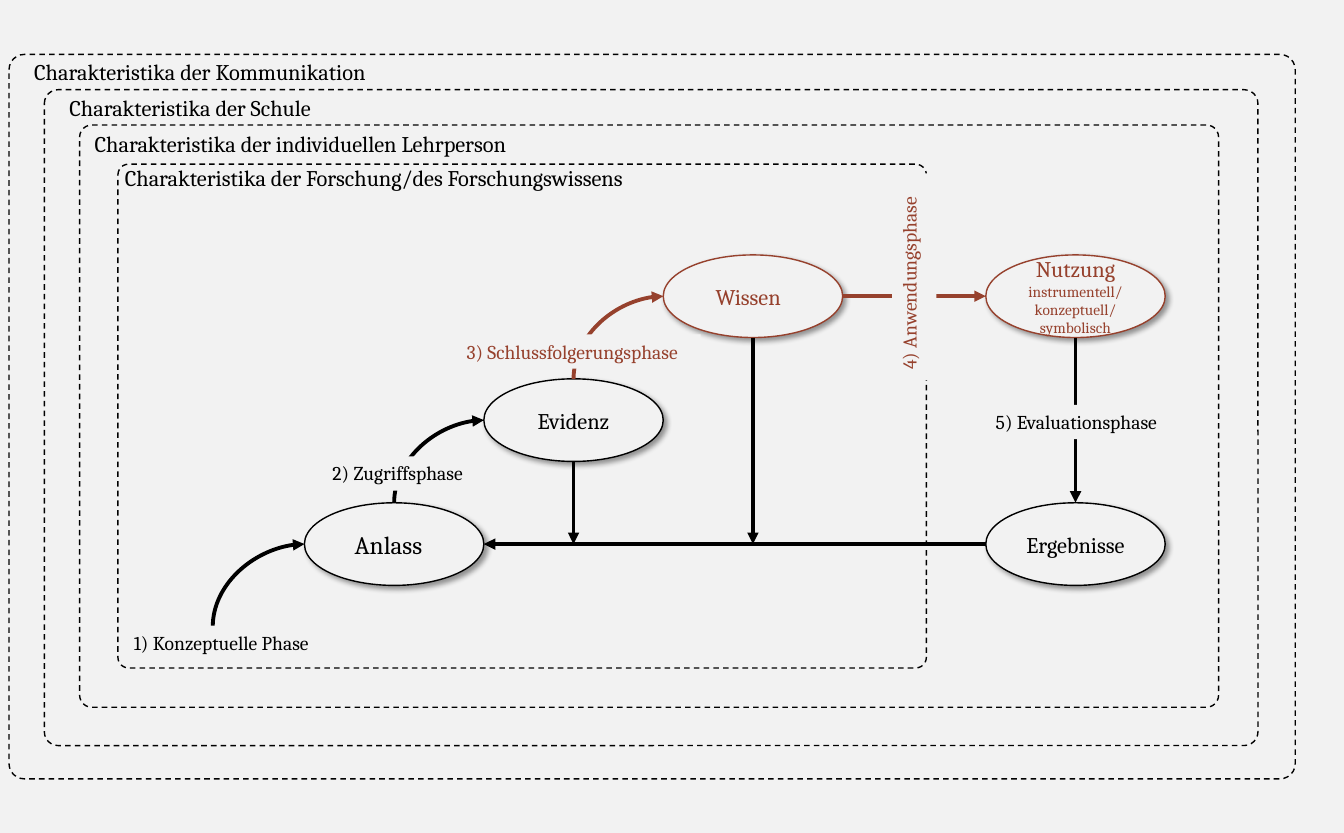
from dataclasses import dataclass

from lxml import etree
from pptx import Presentation
from pptx import util as u
from pptx.dml.color import RGBColor
from pptx.enum import dml, shapes, text
from pptx.oxml.ns import qn

PX = 9144
SLIDE_WIDTH, SLIDE_HEIGHT = u.Pt(960), u.Cm(21)
ELLIPSE_WIDTH, ELLIPSE_HEIGHT = 178, 82
SITES = {"top": (0, 0.5, 0), "left": (2, 0, 0.5), "bottom": (4, 0.5, 1), "right": (6, 1, 0.5)}


@dataclass(frozen=True)
class Theme:
    """Colours, font and type sizes of the slide."""

    background: RGBColor = RGBColor(0xF2, 0xF2, 0xF2)
    ink: RGBColor = RGBColor(0, 0, 0)
    accent: RGBColor = RGBColor(0x96, 0x41, 0x2D)
    font: str = "Cambria"
    large: int = 18
    normal: int = 16
    phase: int = 14
    detail: int = 11
    outline: float = 1
    arrow: float = 2.75


THEME = Theme()


def px(*lengths):
    """Turn px lengths into EMU."""
    return [u.Emu(length * PX) for length in lengths]


def format_paragraph(paragraph, size, color, alignment=text.PP_ALIGN.LEFT):
    """Apply font, size, colour and alignment to a paragraph."""
    paragraph.alignment = alignment
    for run in paragraph.runs:
        run.font.name = THEME.font
        run.font.size = u.Pt(size)
        run.font.color.rgb = color


def add_frame(slide, box):
    """Add a dashed rounded frame."""
    frame = slide.shapes.add_shape(shapes.MSO_SHAPE.ROUNDED_RECTANGLE, *px(*box))
    frame.adjustments[0] = 0.021
    frame.shadow.inherit = False
    frame.fill.background()
    frame.line.color.rgb = THEME.ink
    frame.line.width = u.Pt(THEME.outline)
    frame.line.dash_style = dml.MSO_LINE.DASH


def add_text(slide, box, wording, size, color=THEME.ink, wrap=True):
    """Add a text box that grows with its text."""
    shape = slide.shapes.add_textbox(*px(*box))
    frame = shape.text_frame
    frame.text = wording
    frame.word_wrap = wrap
    frame.auto_size = text.MSO_AUTO_SIZE.SHAPE_TO_FIT_TEXT
    for paragraph in frame.paragraphs:
        format_paragraph(paragraph, size, color)
    return shape


def add_phase(slide, box, wording, color=THEME.ink, upright=False):
    """Add a phase label that interrupts the line behind it."""
    label = add_text(slide, box, wording, THEME.phase, color)
    label.fill.solid()
    label.fill.fore_color.rgb = THEME.background
    if upright:
        label.text_frame._txBody.bodyPr.set("vert", "vert270")


def add_shadow(shape):
    """Give a shape a soft shadow towards the lower right."""
    shape.shadow.inherit = False
    effects = shape._element.spPr.find(qn("a:effectLst"))
    shadow = etree.SubElement(effects, qn("a:outerShdw"), blurRad=str(u.Pt(4)), dist=str(u.Pt(3)),
                              dir="2700000", algn="tl", rotWithShape="0")
    color = etree.SubElement(shadow, qn("a:srgbClr"), val=str(THEME.ink))
    etree.SubElement(color, qn("a:alpha"), val="40000")


def add_station(slide, left, top, color=THEME.ink, wording=""):
    """Add an ellipse for one station of the process."""
    box = px(left, top, ELLIPSE_WIDTH, ELLIPSE_HEIGHT)
    station = slide.shapes.add_shape(shapes.MSO_SHAPE.OVAL, *box)
    station.fill.solid()
    station.fill.fore_color.rgb = THEME.background
    station.line.color.rgb = color
    station.line.width = u.Pt(THEME.outline)
    add_shadow(station)
    if wording:
        station.text_frame.text = wording
        station.text_frame.vertical_anchor = text.MSO_ANCHOR.MIDDLE
        format_paragraph(station.text_frame.paragraphs[0], THEME.normal, color, text.PP_ALIGN.CENTER)
    return station


def site_point(station, side):
    """Return the point in EMU where a side of an ellipse takes a connector."""
    _, across, down = SITES[side]
    return (u.Emu(int(station.left + across * station.width)),
            u.Emu(int(station.top + down * station.height)))


def add_arrow(slide, begin, end, color=THEME.ink, curved=False):
    """Add an arrow between two ends, each an EMU point or a (station, side) pair."""
    glued = [isinstance(target[1], str) for target in (begin, end)]
    start, stop = [site_point(*target) if joined else target
                   for target, joined in zip((begin, end), glued)]
    kind = shapes.MSO_CONNECTOR.CURVE if curved else shapes.MSO_CONNECTOR.STRAIGHT
    arrow = slide.shapes.add_connector(kind, *start, *stop)
    arrow.line.color.rgb = color
    arrow.line.width = u.Pt(THEME.arrow)
    properties = arrow._element.spPr
    etree.SubElement(properties.find(qn("a:ln")), qn("a:tailEnd"), type="triangle")
    etree.SubElement(properties, qn("a:effectLst"))
    joints = arrow._element.nvCxnSpPr.cNvCxnSpPr
    for tag, target, joined in zip(("a:stCxn", "a:endCxn"), (begin, end), glued):
        if joined:
            station, side = target
            etree.SubElement(joints, qn(tag), id=str(station.shape_id), idx=str(SITES[side][0]))
    if curved:
        bend_upward(arrow)


def bend_upward(arrow):
    """Turn a connector into a quarter bend that leaves upward and arrives rightward."""
    width, height = arrow.width, arrow.height
    shift = (width - height) // 2
    arrow.left, arrow.top = arrow.left + shift, arrow.top - shift
    arrow.width, arrow.height = height, width
    properties = arrow._element.spPr
    properties.find(qn("a:prstGeom")).set("prst", "curvedConnector2")
    transform = properties.find(qn("a:xfrm"))
    for name, value in (("rot", "5400000"), ("flipH", "1"), ("flipV", "1")):
        transform.set(name, value)


def add_contexts(slide):
    """Add the nested frames and their headings."""
    for box in ((9, 54, 1276, 719), (44, 89, 1204, 651), (79, 124, 1130, 578), (117, 163, 802, 500)):
        add_frame(slide, box)
    for box, wording in (
        ((24, 53, 378, 37), "Charakteristika der Kommunikation"),
        ((59, 89, 283, 37), "Charakteristika der Schule"),
        ((84, 124, 461, 37), "Charakteristika der individuellen Lehrperson"),
        ((114, 158, 553, 37), "Charakteristika der Forschung/des Forschungswissens"),
    ):
        add_text(slide, box, wording, THEME.normal, wrap=False)


def add_process(slide):
    """Add the stations and the arrows between them."""
    occasion = add_station(slide, 302, 499)
    evidence = add_station(slide, 480, 376, wording="Evidenz")
    knowledge = add_station(slide, 658, 253, THEME.accent)
    use = add_station(slide, 978, 253, THEME.accent)
    results = add_station(slide, 978, 499, wording="Ergebnisse")

    add_arrow(slide, px(211, 622), (occasion, "left"), curved=True)
    add_arrow(slide, (occasion, "top"), (evidence, "left"), curved=True)
    add_arrow(slide, (evidence, "top"), (knowledge, "left"), THEME.accent, curved=True)
    add_arrow(slide, (knowledge, "right"), (use, "left"), THEME.accent)
    add_arrow(slide, (use, "bottom"), (results, "top"))
    add_arrow(slide, (results, "left"), (occasion, "right"))
    feedback_level = site_point(results, "left")[1]
    for station in (evidence, knowledge):
        column = site_point(station, "bottom")[0]
        add_arrow(slide, (station, "bottom"), (column, feedback_level))

    add_text(slide, (342, 520, 98, 40), "Anlass", THEME.large)
    add_text(slide, (700, 276, 89, 37), "Wissen", THEME.normal, THEME.accent)
    use_text = add_text(slide, (982, 248, 170, 93), "Nutzung\ninstrumentell/\nkonzeptuell/\nsymbolisch",
                        THEME.detail, THEME.accent)
    for index, paragraph in enumerate(use_text.text_frame.paragraphs):
        size = THEME.detail if index else THEME.normal
        format_paragraph(paragraph, size, THEME.accent, text.PP_ALIGN.CENTER)


def add_phases(slide):
    """Add the five phase labels."""
    add_phase(slide, (123, 621, 231, 34), "1) Konzeptuelle Phase")
    add_phase(slide, (320, 453, 182, 34), "2) Zugriffsphase")
    add_phase(slide, (453, 332, 242, 34), "3) Schlussfolgerungsphase", THEME.accent)
    add_phase(slide, (885, 172, 44, 205), "4) Anwendungsphase", THEME.accent, upright=True)
    add_phase(slide, (978, 402, 193, 34), "5) Evaluationsphase")


def main():
    """Build the slide and save it."""
    presentation = Presentation()
    presentation.slide_width, presentation.slide_height = SLIDE_WIDTH, SLIDE_HEIGHT
    slide = presentation.slides.add_slide(presentation.slide_layouts[6])
    slide.background.fill.solid()
    slide.background.fill.fore_color.rgb = THEME.background
    add_contexts(slide)
    add_process(slide)
    add_phases(slide)
    presentation.save("out.pptx")


if __name__ == "__main__":
    main()
